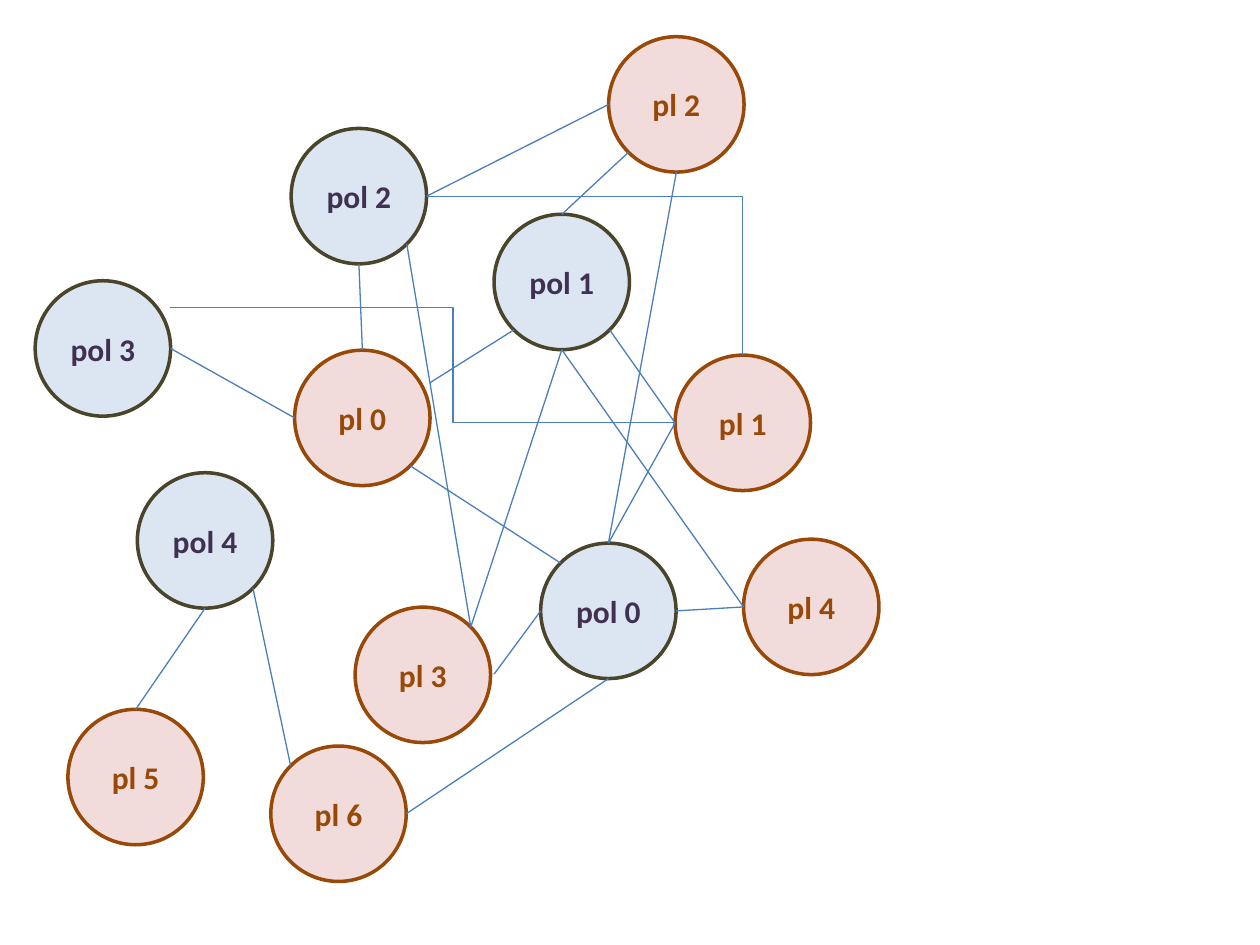
from math import cos, radians, sin

from lxml import etree
from pptx import Presentation
from pptx.dml.color import RGBColor
from pptx.enum.shapes import MSO_CONNECTOR, MSO_SHAPE
from pptx.enum.text import MSO_ANCHOR, PP_ALIGN
from pptx.oxml.ns import qn
from pptx.util import Cm, Pt

PINK = RGBColor(0xF2, 0xDC, 0xDB)
BROWN = RGBColor(0x98, 0x48, 0x07)
PALE_BLUE = RGBColor(0xDC, 0xE6, 0xF2)
OLIVE = RGBColor(0x4A, 0x45, 0x2A)
PURPLE = RGBColor(0x40, 0x31, 0x52)
LINK_BLUE = RGBColor(0x4B, 0x7E, 0xBC)

DIAMETER = 2.73

# Fill, outline and text colour of each family of nodes
STYLES = {"pl": (PINK, BROWN, BROWN), "pol": (PALE_BLUE, OLIVE, PURPLE)}

# Left and top of each circle, in cm
NODES = {
    "pl 0": (5.94, 7.06),
    "pol 0": (10.9, 10.95),
    "pol 1": (9.96, 4.32),
    "pol 2": (5.87, 2.59),
    "pl 1": (13.61, 7.16),
    "pl 2": (12.27, 0.74),
    "pl 3": (7.16, 12.24),
    "pl 4": (14.99, 10.87),
    "pl 5": (1.37, 14.3),
    "pl 6": (5.46, 15.04),
    "pol 3": (0.71, 5.66),
    "pol 4": (2.77, 9.53),
}

# Compass sites on a circle, as clockwise angles from east
SITES = {site: 45 * i for i, site in
         enumerate(("E", "SE", "S", "SW", "W", "NW", "N", "NE"))}

# Each end is a (node, site) pair or a free (x, y) point in cm
STRAIGHT_LINKS = [
    (("pl 0", "N"), ("pol 2", "S")),
    (("pl 0", "W"), ("pol 3", "E")),
    (("pl 1", "W"), ("pol 1", "SE")),
    (("pl 1", "W"), ("pol 0", "N")),
    (("pol 1", "SW"), (8.66, 7.72)),
    (("pol 0", "NW"), ("pl 0", "SE")),
    (("pl 2", "W"), ("pol 2", "E")),
    (("pl 2", "S"), ("pol 0", "N")),
    (("pl 2", "SW"), ("pol 1", "N")),
    ((9.96, 13.59), ("pol 0", "W")),
    (("pl 3", "NE"), ("pol 1", "S")),
    (("pl 3", "NE"), ("pol 2", "SE")),
    (("pl 4", "W"), ("pol 0", "E")),
    (("pl 4", "W"), ("pol 1", "S")),
    (("pol 0", "S"), ("pl 6", "E")),
    (("pol 4", "S"), ("pl 5", "N")),
    (("pl 6", "NW"), ("pol 4", "SE")),
]


def locate(end):
    """Return the (x, y) point in cm of a link end."""
    if end[0] not in NODES:
        return end
    left, top = NODES[end[0]]
    angle = radians(SITES[end[1]])
    radius = DIAMETER / 2
    return left + radius * (1 + cos(angle)), top + radius * (1 + sin(angle))


def add_node(slide, label, left, top):
    """Add a labelled circle in the style of its family."""
    fill, outline, text_color = STYLES[label.split()[0]]
    circle = slide.shapes.add_shape(
        MSO_SHAPE.OVAL, Cm(left), Cm(top), Cm(DIAMETER), Cm(DIAMETER))
    circle.name = label
    circle.shadow.inherit = False
    circle.fill.solid()
    circle.fill.fore_color.rgb = fill
    circle.line.color.rgb = outline
    circle.line.width = Pt(2)
    frame = circle.text_frame
    frame.vertical_anchor = MSO_ANCHOR.MIDDLE
    paragraph = frame.paragraphs[0]
    paragraph.alignment = PP_ALIGN.CENTER
    run = paragraph.add_run()
    run.text = label
    run.font.name = "Calibri"
    run.font.size = Pt(18)
    run.font.bold = True
    run.font.color.rgb = text_color


def add_link(slide, start, end, kind=MSO_CONNECTOR.STRAIGHT):
    """Add a thin connector between two ends and return it."""
    points = [Cm(value) for value in locate(start) + locate(end)]
    link = slide.shapes.add_connector(kind, *points)
    link.line.color.rgb = LINK_BLUE
    link.line.width = Pt(0.75)
    etree.SubElement(link._element.spPr, qn("a:effectLst"))
    return link


def add_elbow(slide, start, end, preset, bend=None):
    """Add a bent connector, with its bend as a share of the width."""
    link = add_link(slide, start, end, MSO_CONNECTOR.ELBOW)
    geometry = link._element.spPr.find(qn("a:prstGeom"))
    geometry.set("prst", preset)
    if bend is not None:
        guide = etree.SubElement(geometry.find(qn("a:avLst")), qn("a:gd"))
        guide.set("name", "adj1")
        guide.set("fmla", f"val {round(bend * 100000)}")


def main():
    """Build the network slide."""
    deck = Presentation()
    deck.slide_width, deck.slide_height = Cm(25.4), Cm(19.05)
    slide = deck.slides.add_slide(deck.slide_layouts[6])
    for label, (left, top) in NODES.items():
        add_node(slide, label, left, top)
    for start, end in STRAIGHT_LINKS:
        add_link(slide, start, end)
    add_elbow(slide, ("pol 2", "E"), ("pl 1", "N"), "bentConnector2")
    add_elbow(slide, ("pl 1", "W"), (3.43, 6.2), "bentConnector3", 0.44)
    deck.save("out.pptx")


main()
